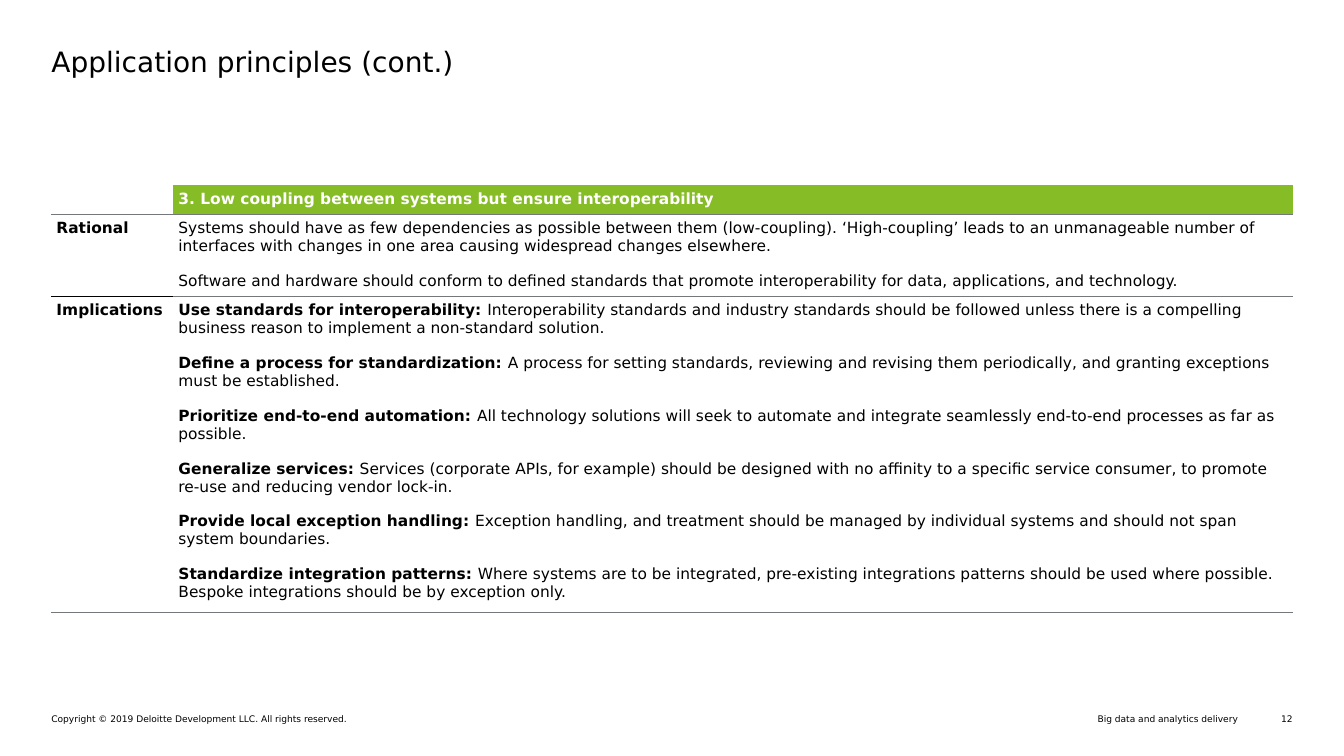
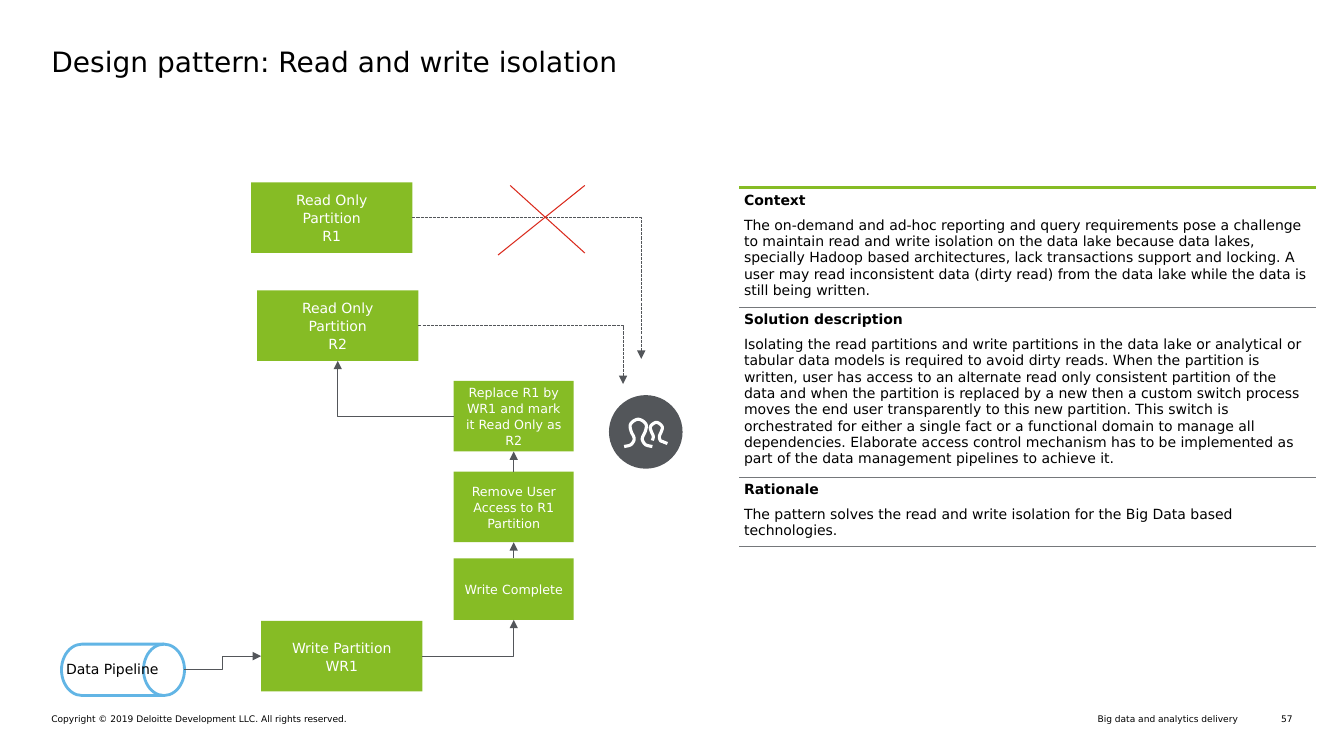
from dataclasses import dataclass

from lxml import etree
from pptx import Presentation
from pptx.dml.color import RGBColor
from pptx.enum import dml, shapes, text
from pptx.oxml import ns
from pptx.util import Inches, Pt


@dataclass(frozen=True)
class Theme:
    font: str = "DejaVu Sans"
    black: str = "000000"
    white: str = "FFFFFF"
    green: str = "86BC25"
    gray: str = "53565A"
    rule: str = "75787B"
    blue: str = "62B5E5"
    red: str = "DA291C"
    title: float = 20
    table: float = 11
    body: float = 10
    step: float = 9
    footer: float = 6.5
    line: float = 0.75


THEME = Theme()
LEFT, CONTENT_WIDTH = 0.51, 12.31
PLAIN_TABLE_STYLE = "{2D5ABB26-0587-4C30-8999-92F81FD0307C}"
ALIGN = text.PP_ALIGN
HAIR_RULE = (THEME.rule, 0.5)

PRINCIPLE = "3. Low coupling between systems but ensure interoperability"
RATIONAL = [
    ("", "Systems should have as few dependencies as possible between them (low-coupling). ‘High-coupling’ leads to "
         "an unmanageable number of interfaces with changes in one area causing widespread changes elsewhere."),
    ("", "Software and hardware should conform to defined standards that promote interoperability for data, "
         "applications, and technology."),
]
IMPLICATIONS = [
    ("Use standards for interoperability: ",
     "Interoperability standards and industry standards should be followed unless there is a compelling business "
     "reason to implement a non-standard solution."),
    ("Define a process for standardization: ",
     "A process for setting standards, reviewing and revising them periodically, and granting exceptions must be "
     "established."),
    ("Prioritize end-to-end automation: ",
     "All technology solutions will seek to automate and integrate seamlessly end-to-end processes as far as "
     "possible."),
    ("Generalize services: ",
     "Services (corporate APIs, for example) should be designed with no affinity to a specific service consumer, to "
     "promote re-use and reducing vendor lock-in."),
    ("Provide local exception handling: ",
     "Exception handling, and treatment should be managed by individual systems and should not span system "
     "boundaries."),
    ("Standardize integration patterns: ",
     "Where systems are to be integrated, pre-existing integrations patterns should be used where possible. Bespoke "
     "integrations should be by exception only."),
]
# Heading, description, row height
PATTERN = [
    ("Context",
     "The on-demand and ad-hoc reporting and query requirements pose a challenge to maintain read and write isolation "
     "on the data lake because data lakes, specially Hadoop based architectures, lack transactions support and "
     "locking. A user may read inconsistent data (dirty read) from the data lake while the data is still being "
     "written.", 1.16),
    ("Solution description",
     "Isolating the read partitions and write partitions in the data lake or analytical or tabular data models is "
     "required to avoid dirty reads. When the partition is written, user has access to an alternate read only "
     "consistent partition of the data and when the partition is replaced by a new then a custom switch process moves "
     "the end user transparently to this new partition. This switch is orchestrated for either a single fact or a "
     "functional domain to manage all dependencies. Elaborate access control mechanism has to be implemented as part "
     "of the data management pipelines to achieve it.", 1.64),
    ("Rationale",
     "The pattern solves the read and write isolation for the Big Data based technologies.", 0.66),
]


def color(value):
    return RGBColor.from_string(value)


# Text
def set_font(paragraph, size, font_color=THEME.black, bold=False):
    font = paragraph.font
    font.name, font.size, font.bold = THEME.font, Pt(size), bold
    font.color.rgb = color(font_color)


def set_insets(target, horizontal, vertical):
    target.margin_left = target.margin_right = Inches(horizontal)
    target.margin_top = target.margin_bottom = Inches(vertical)


def write_lines(frame, content, size, font_color=THEME.black, align=ALIGN.LEFT, spacing=None):
    for index, line in enumerate(content.split("\n")):
        paragraph = frame.paragraphs[0] if index == 0 else frame.add_paragraph()
        paragraph.text, paragraph.alignment = line, align
        if spacing:
            paragraph.line_spacing = spacing
        set_font(paragraph, size, font_color)


def add_text(slide, content, box, size, align=ALIGN.LEFT):
    frame = slide.shapes.add_textbox(*map(Inches, box)).text_frame
    frame.word_wrap = True
    set_insets(frame, 0, 0)
    write_lines(frame, content, size, align=align)
    return frame


def add_base_slide(presentation, title, number):
    """Blank slide with the shared title and footer."""
    slide = presentation.slides.add_slide(presentation.slide_layouts[6])
    add_text(slide, title, (LEFT, 0.44, CONTENT_WIDTH, 0.76), THEME.title)
    footers = [
        ("Copyright © 2019 Deloitte Development LLC. All rights reserved.", LEFT, 5.86, ALIGN.LEFT),
        ("Big data and analytics delivery", 6.93, 5.35, ALIGN.RIGHT),
        (str(number), 12.48, 0.34, ALIGN.RIGHT),
    ]
    for content, left, width, align in footers:
        add_text(slide, content, (left, 7.08, width, 0.11), THEME.footer, align)
    return slide


# Tables
def add_plain_table(slide, left, top, widths, heights):
    frame = slide.shapes.add_table(len(heights), len(widths), Inches(left), Inches(top),
                                   Inches(sum(widths)), Inches(sum(heights)))
    table = frame.table
    table.first_row = table.horz_banding = False
    frame.element.find(".//" + ns.qn("a:tableStyleId")).text = PLAIN_TABLE_STYLE
    for column, width in zip(table.columns, widths):
        column.width = Inches(width)
    for row, height in zip(table.rows, heights):
        row.height = Inches(height)
    return table


def set_border(cell, side, rule):
    rule_color, width = rule
    line = etree.SubElement(cell._tc.get_or_add_tcPr(), ns.qn("a:ln" + side), w=str(int(Pt(width))))
    fill = etree.SubElement(line, ns.qn("a:solidFill"))
    etree.SubElement(fill, ns.qn("a:srgbClr"), val=rule_color)


def fill_cell(cell, entries, size, top=None, bottom=HAIR_RULE, fill=None, font_color=THEME.black, gap=0):
    """Entries are (bold lead, plain body) pairs, one per paragraph."""
    set_insets(cell, 0.05, 0.05)
    for side, rule in (("T", top), ("B", bottom)):
        if rule:
            set_border(cell, side, rule)
    if fill:
        cell.fill.solid()
        cell.fill.fore_color.rgb = color(fill)
    else:
        cell.fill.background()
    frame = cell.text_frame
    for index, (lead, body) in enumerate(entries):
        paragraph = frame.paragraphs[0] if index == 0 else frame.add_paragraph()
        paragraph.space_after = Pt(gap)
        set_font(paragraph, size, font_color, bold=not body)
        for content, bold in ((lead, True), (body, False)):
            if content:
                run = paragraph.add_run()
                run.text = content
                if lead and body:
                    run.font.bold = bold
    if not entries:
        etree.SubElement(frame.paragraphs[0]._p, ns.qn("a:endParaRPr"), sz=str(int(size * 100)))


# Diagram parts
def add_shape(slide, kind, box, fill, outline=None, width=THEME.line):
    shape = slide.shapes.add_shape(kind, *map(Inches, box))
    shape.shadow.inherit = False
    shape.fill.solid()
    shape.fill.fore_color.rgb = color(fill)
    if outline:
        shape.line.color.rgb, shape.line.width = color(outline), Pt(width)
    else:
        shape.line.fill.background()
    return shape


def add_box(slide, content, box, size=THEME.body):
    shape = add_shape(slide, shapes.MSO_SHAPE.RECTANGLE, box, THEME.green)
    frame = shape.text_frame
    frame.word_wrap, frame.vertical_anchor = True, text.MSO_ANCHOR.MIDDLE
    set_insets(frame, 0.1, 0.1)
    write_lines(frame, content, size, THEME.white, ALIGN.CENTER, 1.06)
    return shape


def add_line(slide, start, end, preset="line", line_color=THEME.gray, arrow=True, dashed=False):
    """Each end is an (x, y) point or a (shape, side) joint."""
    kind = shapes.MSO_CONNECTOR.STRAIGHT if preset == "line" else shapes.MSO_CONNECTOR.ELBOW
    ends = [point if isinstance(point[0], (int, float)) else (0, 0) for point in (start, end)]
    connector = slide.shapes.add_connector(kind, *(Inches(value) for point in ends for value in point))
    if not isinstance(start[0], (int, float)):
        connector.begin_connect(*start)
    if not isinstance(end[0], (int, float)):
        connector.end_connect(*end)
    properties = connector.element.spPr
    properties.find(ns.qn("a:prstGeom")).set("prst", preset)
    connector.line.color.rgb, connector.line.width = color(line_color), Pt(THEME.line)
    if dashed:
        connector.line.dash_style = dml.MSO_LINE.SQUARE_DOT
    if arrow:
        etree.SubElement(properties.find(ns.qn("a:ln")), ns.qn("a:tailEnd"), type="triangle")
    etree.SubElement(properties, ns.qn("a:effectLst"))
    return connector


def smooth_curve(points, steps=6):
    """Catmull-Rom curve through the points."""
    padded = [points[0], *points, points[-1]]
    curve = [points[0]]
    for before, first, second, after in zip(padded, padded[1:], padded[2:], padded[3:]):
        for step in range(1, steps + 1):
            t = step / steps
            curve.append(tuple(
                (2 * b + (c - a) * t + (2 * a - 5 * b + 4 * c - d) * t ** 2 + (3 * b - a - 3 * c + d) * t ** 3) / 2
                for a, b, c, d in zip(before, first, second, after)))
    return curve


def add_users_icon(slide):
    add_shape(slide, shapes.MSO_SHAPE.OVAL, (6.04, 3.92, 0.73, 0.73), THEME.gray)
    # Right half of each person, from head to shoulder, as offsets from its axis
    front = [(0, 4.16), (0.05, 4.18), (0.08, 4.22), (0.07, 4.28), (0.04, 4.35), (0.06, 4.4), (0.09, 4.42), (0.14, 4.43)]
    back = [(0, 4.19), (0.04, 4.21), (0.06, 4.24), (0.05, 4.28), (0.03, 4.33), (0.04, 4.37), (0.06, 4.38), (0.11, 4.4)]
    for axis, half, left_count in ((6.33, front, len(front)), (6.51, back, 6)):
        left_half = [(axis - x, y) for x, y in half[1:left_count]]
        outline = left_half[::-1] + [(axis + x, y) for x, y in half]
        first, *rest = [(Inches(x), Inches(y)) for x, y in smooth_curve(outline)]
        builder = slide.shapes.build_freeform(*first)
        builder.add_line_segments(rest, close=False)
        person = builder.convert_to_shape()
        person.shadow.inherit = False
        person.fill.background()
        person.line.color.rgb, person.line.width = color(THEME.white), Pt(2.25)


# Slides
def build_principles(presentation):
    slide = add_base_slide(presentation, "Application principles (cont.)", 12)
    table = add_plain_table(slide, LEFT, 1.84, (1.21, 11.1), (0.28, 0.8, 3.07))
    thin_rule = (THEME.black, 0.25)
    fill_cell(table.cell(0, 0), [], THEME.table)
    fill_cell(table.cell(0, 1), [(PRINCIPLE, "")], THEME.table, fill=THEME.green, font_color=THEME.white)
    rows = [("Rational", RATIONAL, HAIR_RULE, thin_rule), ("Implications", IMPLICATIONS, thin_rule, HAIR_RULE)]
    for row, (label, entries, top, bottom) in enumerate(rows, 1):
        fill_cell(table.cell(row, 0), [(label, "")], THEME.table, top, bottom, THEME.white)
        fill_cell(table.cell(row, 1), entries, THEME.table, HAIR_RULE, gap=12)


def build_isolation(presentation):
    slide = add_base_slide(presentation, "Design pattern: Read and write isolation", 57)
    table = add_plain_table(slide, 7.33, 1.86, (5.72,), [height for _, _, height in PATTERN])
    for row, (heading, body, _) in enumerate(PATTERN):
        top = HAIR_RULE if row else (THEME.green, 3)
        fill_cell(table.cell(row, 0), [(heading, ""), ("", body)], THEME.body, top, gap=6)

    # Partitions and steps
    first_read = add_box(slide, "Read Only\nPartition\nR1", (2.49, 1.81, 1.6, 0.7))
    second_read = add_box(slide, "Read Only\nPartition\nR2", (2.55, 2.88, 1.6, 0.7))
    write = add_box(slide, "Write Partition\nWR1", (2.59, 6.16, 1.6, 0.7))
    steps = [
        add_box(slide, content, (4.5, top, 1.19, height), THEME.step)
        for content, top, height in (
            ("Write Complete", 5.54, 0.61),
            ("Remove User Access to R1 Partition", 4.68, 0.7),
            ("Replace R1 by WR1 and mark it Read Only as R2", 3.78, 0.7))
    ]

    # Data pipeline
    drum = add_shape(slide, shapes.MSO_SHAPE.FLOWCHART_DIRECT_ACCESS_STORAGE, (0.61, 6.39, 1.22, 0.51),
                     THEME.white, THEME.blue, 2)
    label = add_text(slide, "Data Pipeline", (0.6, 6.47, 1.03, 0.37), THEME.body, ALIGN.CENTER)
    label.vertical_anchor = text.MSO_ANCHOR.MIDDLE
    label.paragraphs[0].line_spacing = Pt(9)

    # Flow
    inflow = add_line(slide, (drum, 3), (write, 1), "bentConnector3")
    # The drum's outer right joint is its fifth
    inflow.element.find(".//" + ns.qn("a:stCxn")).set("idx", "4")
    add_line(slide, (write, 3), (steps[0], 2), "bentConnector2")
    for lower, upper in zip(steps, steps[1:]):
        add_line(slide, (lower, 0), (upper, 2))
    add_line(slide, (steps[-1], 1), (second_read, 2), "bentConnector2")
    add_line(slide, (first_read, 3), (6.36, 3.56), "bentConnector2", dashed=True)
    add_line(slide, (second_read, 3), (6.18, 3.81), "bentConnector2", dashed=True)

    # Blocked access and users
    for start, end in (((5.06, 1.84), (5.8, 2.51)), ((5.8, 1.84), (4.94, 2.53))):
        add_line(slide, start, end, line_color=THEME.red, arrow=False)
    add_users_icon(slide)


def main():
    presentation = Presentation()
    presentation.slide_width, presentation.slide_height = Inches(13.33), Inches(7.5)
    build_principles(presentation)
    build_isolation(presentation)
    presentation.save("out.pptx")


if __name__ == "__main__":
    main()
